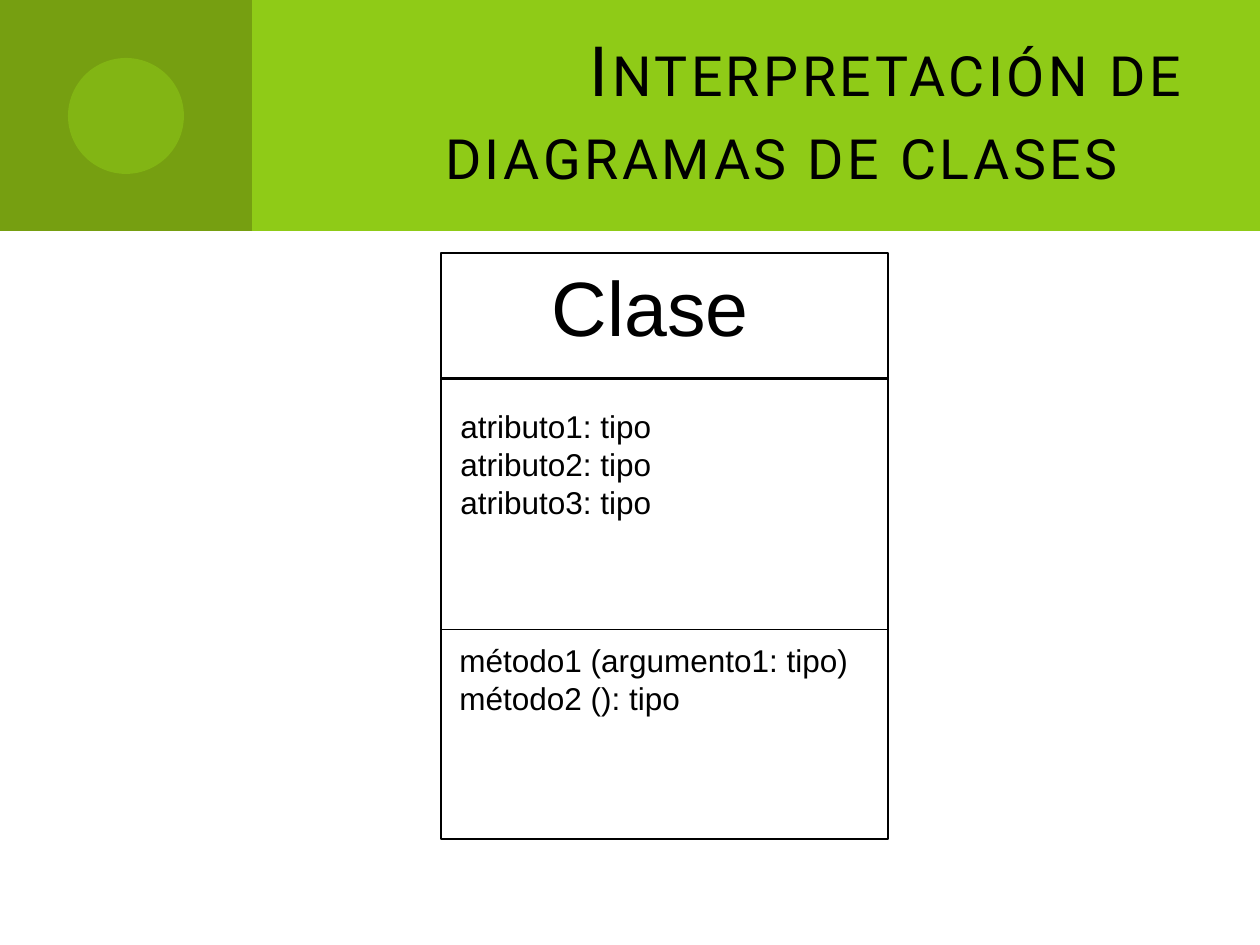
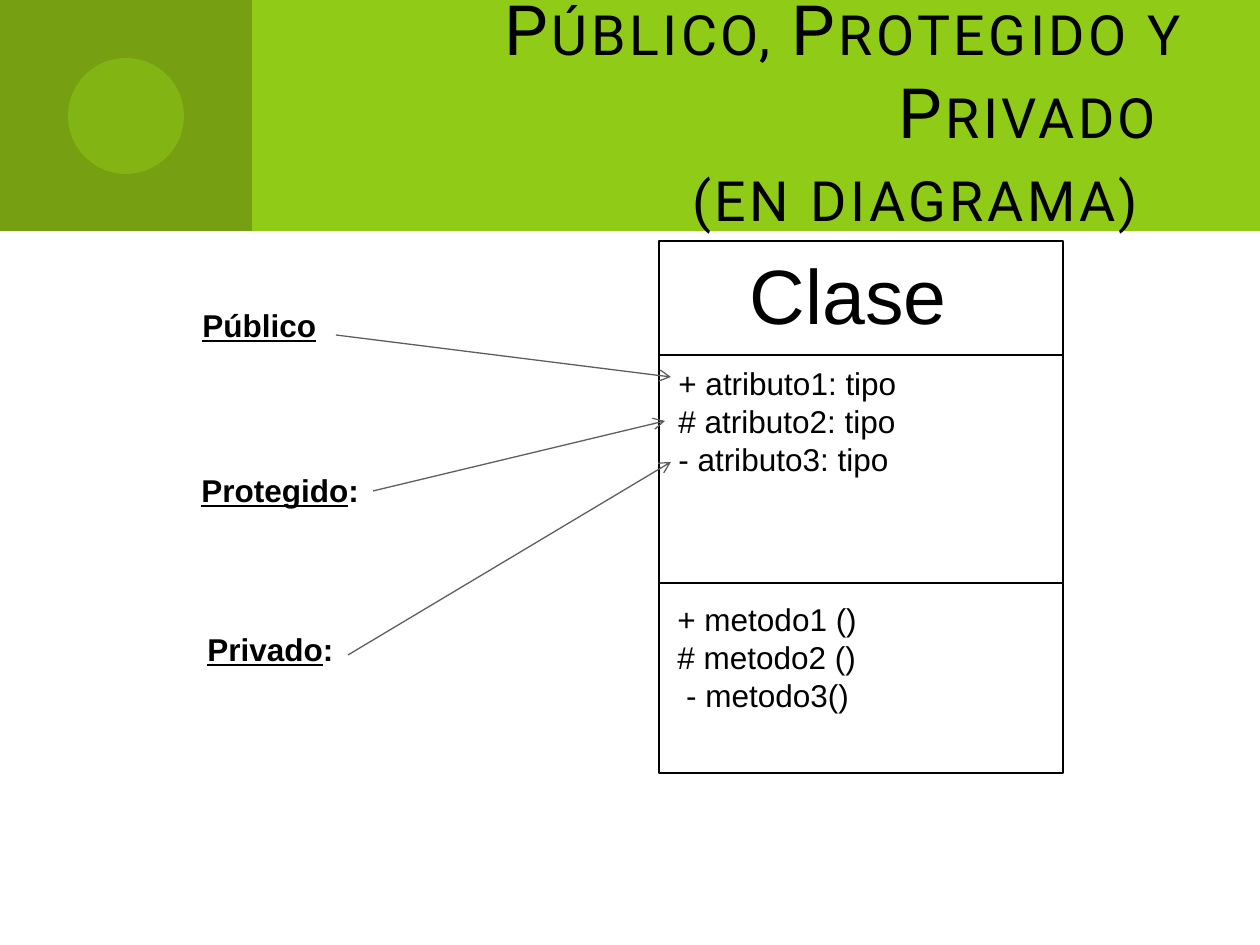
from dataclasses import dataclass

from lxml.etree import SubElement
from pptx import Presentation
from pptx.dml.color import RGBColor as Rgb
from pptx.enum.shapes import MSO_CONNECTOR as Connector, MSO_SHAPE as Shape
from pptx.enum.text import MSO_ANCHOR as Anchor, PP_ALIGN as Align
from pptx.oxml.ns import qn
from pptx.util import Emu, Pt

EMU_PER_PX = 914400 / 126
SLIDE_WIDTH, SLIDE_HEIGHT = 1260, 945


@dataclass(frozen=True)
class Theme:
    band: str = "8FCB17"
    band_dark: str = "769F11"
    ink: str = "000000"
    paper: str = "FFFFFF"
    arrow: str = "5E5E5E"
    title_font: str = "Roboto"
    body_font: str = "Arial"
    title_size: float = 39.6
    class_size: int = 44
    body_size: int = 18
    thin: float = 0.75
    thick: float = 1.5


def px(length):
    return Emu(round(length * EMU_PER_PX))


class Deck:
    """Holds the style and the slide being drawn."""

    def __init__(self, theme):
        self.theme = theme
        self.presentation = Presentation()
        self.presentation.slide_width = px(SLIDE_WIDTH)
        self.presentation.slide_height = px(SLIDE_HEIGHT)
        self.slide = None

    # Basic elements
    def shape(self, kind, left, top, width, height, fill, line=None, opacity=None):
        shape = self.slide.shapes.add_shape(kind, *map(px, (left, top, width, height)))
        shape.shadow.inherit = False
        shape.fill.solid()
        shape.fill.fore_color.rgb = Rgb.from_string(fill)
        if opacity is not None:
            color = shape.fill._xPr.find(qn("a:solidFill"))[0]
            SubElement(color, qn("a:alpha"), val=str(opacity * 1000))
        if line:
            shape.line.color.rgb = Rgb.from_string(line)
            shape.line.width = Pt(self.theme.thin)
        else:
            shape.line.fill.background()

    def line(self, start, end, color, weight, arrow=False):
        connector = self.slide.shapes.add_connector(
            Connector.STRAIGHT, *map(px, (*start, *end)))
        connector.line.color.rgb = Rgb.from_string(color)
        connector.line.width = Pt(weight)
        if arrow:
            SubElement(connector.line._get_or_add_ln(), qn("a:tailEnd"), type="arrow")
        SubElement(connector._element.spPr, qn("a:effectLst"))

    def text(self, left, top, width, height, lines, size=None, font=None,
             align=Align.LEFT, anchor=Anchor.TOP):
        """Write one paragraph per line and return the paragraphs."""
        box = self.slide.shapes.add_textbox(*map(px, (left, top, width, height)))
        frame = box.text_frame
        frame.word_wrap = True
        frame.vertical_anchor = anchor
        for index, line in enumerate(lines):
            paragraph = frame.add_paragraph() if index else frame.paragraphs[0]
            paragraph.text = line
            paragraph.alignment = align
            for run in paragraph.runs:
                self.format(run, size, font)
        return frame.paragraphs

    def format(self, run, size=None, font=None):
        run.font.size = Pt(size or self.theme.body_size)
        run.font.name = font or self.theme.body_font
        run.font.color.rgb = Rgb.from_string(self.theme.ink)

    # Parts of the slides
    def new_slide(self, title):
        theme = self.theme
        self.slide = self.presentation.slides.add_slide(
            self.presentation.slide_layouts[6])
        self.shape(Shape.RECTANGLE, 0, 0, SLIDE_WIDTH, 231, theme.band)
        self.shape(Shape.RECTANGLE, 0, 0, 252, 231, theme.band_dark)
        self.shape(Shape.OVAL, 68, 58, 116, 116, theme.band, opacity=50)
        paragraphs = self.text(336, 32, 861, 157, [title], theme.title_size,
                               theme.title_font, Align.RIGHT, Anchor.MIDDLE)
        for run in paragraphs[0].runs:
            properties = run.font._element
            properties.set("cap", "small")
            properties.set("spc", "200")

    def class_box(self, left, top, width, height, attributes, attributes_top,
                  methods, methods_top):
        """UML class: name, attributes and methods, split at 3/14 and 9/14."""
        theme = self.theme
        right = left + width
        self.shape(Shape.RECTANGLE, left, top, width, height, theme.paper, theme.ink)
        for part, weight in ((3 / 14, theme.thick), (9 / 14, theme.thin)):
            y = top + height * part
            self.line((left, y), (right, y), theme.ink, weight)
        self.text(left, top, width * 15 / 16, height * 3 / 14, ["Clase"],
                  theme.class_size, align=Align.CENTER)
        for inset, y, lines in ((7, attributes_top, attributes),
                                (6, methods_top, methods)):
            self.text(left + inset, y, width - 14, 14 + 38 * len(lines), lines)

    def visibility(self, left, top, word, suffix, start, end):
        """Underlined label with an arrow to the member it describes."""
        paragraph = self.text(left, top, 700, 50, [word])[0]
        paragraph.runs[0].font.underline = True
        if suffix:
            run = paragraph.add_run()
            run.text = suffix
            self.format(run)
        for run in paragraph.runs:
            run.font.bold = True
        self.line(start, end, self.theme.arrow, self.theme.thin, arrow=True)


def main():
    deck = Deck(Theme())

    # Reading a class diagram
    deck.new_slide(" Interpretación de diagramas de clases")
    deck.class_box(441, 253, 447, 586,
                   [f"atributo{number}: tipo" for number in (1, 2, 3)], 401,
                   ["método1 (argumento1: tipo)", "método2 (): tipo"], 635)

    # Visibility of the members
    deck.new_slide("Público, Protegido y Privado\n(en diagrama)")
    deck.class_box(659, 241, 404, 532,
                   ["+ atributo1: tipo", "# atributo2: tipo", "- atributo3: tipo"], 358,
                   ["+ metodo1 ()", "# metodo2 ()", " - metodo3()"], 594)
    for label in (
        (190, 300, "Público", "", (336, 335), (671, 377)),
        (189, 465, "Protegido", ":", (373, 491), (665, 421)),
        (195, 624, "Privado", ":", (348, 655), (671, 462)),
    ):
        deck.visibility(*label)

    deck.presentation.save("out.pptx")


if __name__ == "__main__":
    main()
